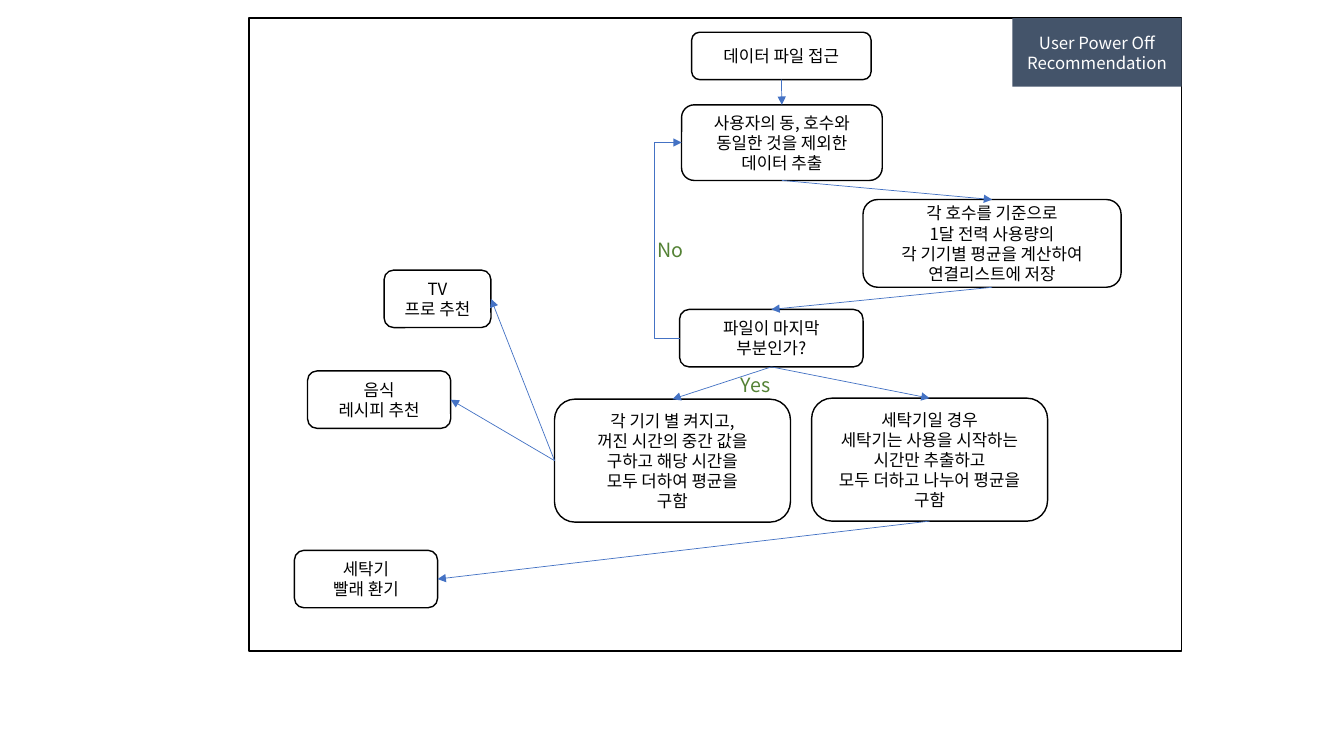
from lxml.etree import SubElement
from pptx import Presentation
from pptx.dml.color import RGBColor
from pptx.enum.shapes import MSO_CONNECTOR as CONN, MSO_SHAPE as SHAPE
from pptx.enum.text import MSO_ANCHOR as ANCHOR, MSO_AUTO_SIZE as AUTO, PP_ALIGN as ALIGN
from pptx.oxml.ns import qn
from pptx.util import Emu, Pt

PX = 9144  # 100 px to the inch
FONT = "Noto Sans CJK KR"
BLACK = RGBColor(0x00, 0x00, 0x00)
WHITE = RGBColor(0xFF, 0xFF, 0xFF)
SLATE = RGBColor(0x44, 0x54, 0x6A)
BLUE = RGBColor(0x44, 0x72, 0xC4)
GREEN = RGBColor(0x54, 0x82, 0x35)

FRAME = (247, 18, 925, 628)
TOP, LEFT, BOTTOM, RIGHT = range(4)  # connection sites of a box

# name: (left, top, width, height) inside the frame, text
STEPS = {
    "open": ((439, 14, 178, 47), "데이터 파일 접근"),
    "extract": ((429, 86, 199, 75), "사용자의 동, 호수와\n동일한 것을 제외한\n데이터 추출"),
    "average": ((609, 180, 256, 87),
                "각 호수를 기준으로\n1달 전력 사용량의\n각 기기별 평균을 계산하여\n연결리스트에 저장"),
    "last": ((427, 289, 182, 57), "파일이 마지막\n부분인가?"),
    "devices": ((303, 378, 234, 122),
                "각 기기 별 켜지고,\n꺼진 시간의 중간 값을\n구하고 해당 시간을\n모두 더하여 평균을\n구함"),
    "washer": ((558, 377, 234, 122),
               "세탁기일 경우\n세탁기는 사용을 시작하는\n시간만 추출하고\n모두 더하고 나누어 평균을\n구함"),
    "tv": ((134, 250, 106, 57), "TV\n프로 추천"),
    "food": ((58, 350, 142, 57), "음식\n레시피 추천"),
    "laundry": ((45, 528, 142, 57), "세탁기\n빨래 환기"),
}
ARROWS = [
    ("open", BOTTOM, "extract", TOP),
    ("extract", BOTTOM, "average", TOP),
    ("average", BOTTOM, "last", TOP),
    ("last", BOTTOM, "devices", TOP),
    ("last", BOTTOM, "washer", TOP),
    ("devices", LEFT, "tv", RIGHT),
    ("devices", LEFT, "food", RIGHT),
    ("washer", BOTTOM, "laundry", RIGHT),
]
ANSWERS = [("Yes", (478, 347, 50, 34)), ("No", (395, 213, 50, 34))]


def emu(*lengths):
    return [Emu(n * PX) for n in lengths]


def inside(frame, box):
    return (frame[0] + box[0], frame[1] + box[1], *box[2:])


def put_text(sp, text, size=12, color=BLACK, align=ALIGN.CENTER, anchor=ANCHOR.MIDDLE, wrap=True):
    tf = sp.text_frame
    tf.word_wrap = wrap
    tf.vertical_anchor = anchor
    for i, line in enumerate(text.split("\n")):
        p = tf.paragraphs[0] if i == 0 else tf.add_paragraph()
        p.alignment = align
        r = p.add_run()
        r.text = line
        r.font.size = Pt(size)
        r.font.name = FONT
        r.font.color.rgb = color
        SubElement(r.font._element, qn("a:ea"), typeface=FONT)


def add_box(s, kind, box, fill=None, line=None):
    sp = s.shapes.add_shape(kind, *emu(*box))
    sp.shadow.inherit = False
    if fill is None:
        sp.fill.background()
    else:
        sp.fill.solid()
        sp.fill.fore_color.rgb = fill
    if line is None:
        sp.line.fill.background()
    else:
        sp.line.color.rgb = line
        sp.line.width = Pt(1)
    return sp


def add_arrow(s, start, start_site, end, end_site, kind=CONN.STRAIGHT):
    c = s.shapes.add_connector(kind, 0, 0, 0, 0)
    c.begin_connect(start, start_site)
    c.end_connect(end, end_site)
    c.line.color.rgb = BLUE
    c.line.width = Pt(0.5)
    SubElement(c.line._get_or_add_ln(), qn("a:tailEnd"), type="triangle")
    SubElement(c._element.spPr, qn("a:effectLst"))
    return c


def add_loop_back(s, start, end, reach):
    """Elbow arrow between two left sides, passing `reach` px left of the start."""
    c = add_arrow(s, start, LEFT, end, LEFT, CONN.ELBOW)
    bend = round(-reach * PX / c.width * 100000)
    guides = c._element.spPr.find(qn("a:prstGeom")).get_or_add_avLst()
    SubElement(guides, qn("a:gd"), name="adj1", fmla=f"val {bend}")


def add_title_tag(s, frame, width=168, height=68):
    x, y, w, _ = frame
    tag = add_box(s, SHAPE.RECTANGLE, (x + w - width, y, width, height), fill=SLATE)
    put_text(tag, "User Power Off\nRecommendation", color=WHITE)


def add_flowchart(s, frame):
    steps = {}
    for name, (box, text) in STEPS.items():
        steps[name] = add_box(s, SHAPE.ROUNDED_RECTANGLE, inside(frame, box), line=BLACK)
        put_text(steps[name], text)
    for start, start_site, end, end_site in ARROWS:
        add_arrow(s, steps[start], start_site, steps[end], end_site)
    add_loop_back(s, steps["last"], steps["extract"], reach=25)
    for text, box in ANSWERS:
        label = s.shapes.add_textbox(*emu(*inside(frame, box)))
        put_text(label, text, size=14, color=GREEN, align=ALIGN.LEFT, anchor=ANCHOR.TOP, wrap=False)
        label.text_frame.auto_size = AUTO.SHAPE_TO_FIT_TEXT


def main():
    prs = Presentation()
    prs.slide_width, prs.slide_height = emu(1333, 750)
    s = prs.slides.add_slide(prs.slide_layouts[6])
    add_box(s, SHAPE.RECTANGLE, FRAME, line=BLACK)
    add_title_tag(s, FRAME)
    add_flowchart(s, FRAME)
    prs.save("out.pptx")


if __name__ == "__main__":
    main()
